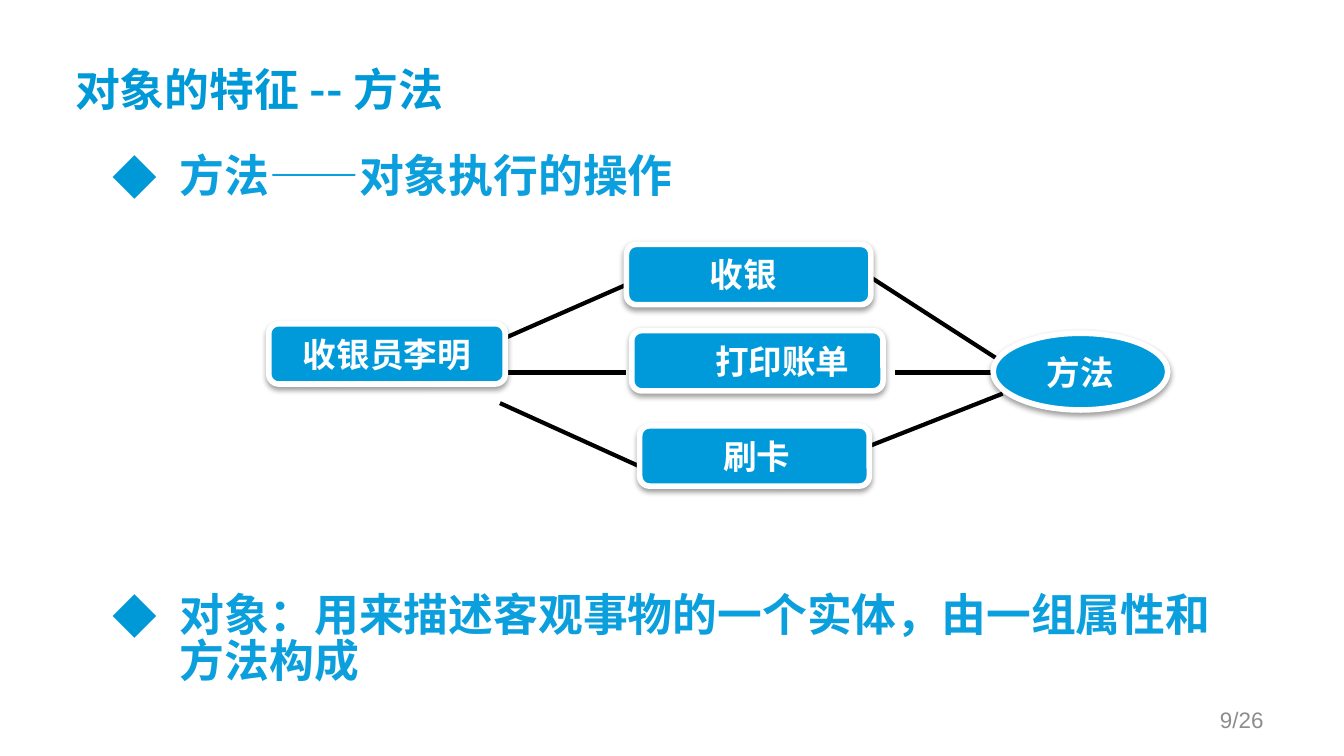
"""Build the slide on object methods: two bullets around a cashier diagram."""
from lxml.etree import SubElement
from pptx import Presentation
from pptx.dml.color import RGBColor
from pptx.enum.shapes import MSO_CONNECTOR as Connector, MSO_SHAPE as Shape
from pptx.enum.text import MSO_ANCHOR as Anchor, PP_ALIGN as Align
from pptx.oxml.ns import qn
from pptx.util import Cm, Pt

TITLE_BLUE = RGBColor(0x00, 0x99, 0xD8)
BULLET_BLUE = RGBColor(0x0B, 0x9F, 0xDD)
NODE_BLUE = RGBColor(0x00, 0x9A, 0xDA)
WHITE = RGBColor(0xFF, 0xFF, 0xFF)
BLACK = RGBColor(0x00, 0x00, 0x00)
GREY = RGBColor(0x8C, 0x8C, 0x8C)
CJK = "Noto Sans CJK SC"
LATIN = "Calibri"
INDENT = Cm(1.27)
BOX_HEIGHT = 1.14

TITLE = [("对象的特征", LATIN), ("--", CJK), ("方法", LATIN)]
PAGE = "9/26"
BULLETS = [
    ("方法——对象执行的操作", 2.82, 1.3),
    ("对象：用来描述客观事物的一个实体，由一组属性和方法构成", 11.13, 2.35),
]
OPERATIONS = [
    ("收银", 11.84, 4.62, 4.62),
    ("打印账单", 11.94, 6.25, 4.75),
    ("刷卡", 12.09, 8.05, 4.34),
]
CASHIER = ("收银员李明", 5.08, 6.12, 4.47, BOX_HEIGHT)
METHOD = ("方法", 18.77, 6.3, 3.3, 1.45)
LINKS = [
    (9.45, 6.43, 11.84, 5.38),
    (9.45, 7.04, 11.84, 7.04),
    (9.45, 7.62, 12.14, 8.84),
    (16.33, 5.16, 18.92, 6.83),
    (16.92, 7.04, 18.75, 7.04),
    (15.52, 8.79, 18.95, 7.44),
]


def add_run(paragraph, text, font, size, color, bold=True):
    run = paragraph.add_run()
    run.text = text
    run.font.name, run.font.size, run.font.bold = font, Pt(size), bold
    run.font.color.rgb = color
    SubElement(run.font._element, qn("a:ea"), typeface=CJK)


def add_text(slide, place, anchor=Anchor.MIDDLE):
    frame = slide.shapes.add_textbox(*map(Cm, place)).text_frame
    frame.word_wrap = True
    frame.vertical_anchor = anchor
    return frame.paragraphs[0]


def add_bullet(slide, text, top, height):
    paragraph = add_text(slide, (1.88, top, 21.56, height), Anchor.TOP)
    paragraph.line_spacing = 0.85
    props = paragraph._p.get_or_add_pPr()
    props.set("marL", str(INDENT))
    props.set("indent", str(-INDENT))
    SubElement(SubElement(props, qn("a:buClr")), qn("a:srgbClr"), val=str(TITLE_BLUE))
    SubElement(props, qn("a:buFont"), typeface=CJK)
    SubElement(props, qn("a:buChar"), char="◆")
    add_run(paragraph, text, CJK, 24, BULLET_BLUE)


def add_link(slide, *ends):
    link = slide.shapes.add_connector(Connector.STRAIGHT, *map(Cm, ends))
    link.line.color.rgb = BLACK
    link.line.width = Pt(2.25)
    SubElement(link._element.spPr, qn("a:effectLst"))


def add_node(slide, kind, text, *place, font=LATIN, indented=False):
    node = slide.shapes.add_shape(kind, *map(Cm, place))
    node.fill.solid()
    node.fill.fore_color.rgb = NODE_BLUE
    node.line.color.rgb = WHITE
    node.line.width = Pt(3)
    node.shadow.inherit = False
    effects = node._element.spPr.find(qn("a:effectLst"))
    shadow = SubElement(effects, qn("a:outerShdw"), blurRad=str(Pt(3.1)),
                        dist=str(Pt(1.6)), dir="5400000", rotWithShape="0")
    shade = SubElement(shadow, qn("a:srgbClr"), val=str(BLACK))
    SubElement(shade, qn("a:alpha"), val="38000")
    node.text_frame.vertical_anchor = Anchor.MIDDLE
    paragraph = node.text_frame.paragraphs[0]
    paragraph.alignment = Align.LEFT if indented else Align.CENTER
    if indented:
        paragraph.level = 1
        paragraph._p.get_or_add_pPr().set("marL", str(INDENT))
    add_run(paragraph, text, font, 18, WHITE)


def main():
    deck = Presentation()
    deck.slide_width, deck.slide_height = Cm(25.4), Cm(14.29)
    slide = deck.slides.add_slide(deck.slide_layouts[6])

    heading = add_text(slide, (1.17, 0.48, 22.86, 2.39))
    for text, font in TITLE:
        add_run(heading, text, font, 24, TITLE_BLUE)
    for bullet in BULLETS:
        add_bullet(slide, *bullet)

    for link in LINKS:
        add_link(slide, *link)
    for operation in OPERATIONS:
        add_node(slide, Shape.ROUNDED_RECTANGLE, *operation, BOX_HEIGHT,
                 font=CJK, indented=True)
    add_node(slide, Shape.ROUNDED_RECTANGLE, *CASHIER)
    add_node(slide, Shape.OVAL, *METHOD)

    page_number = add_text(slide, (18.21, 13.23, 5.92, 0.76))
    page_number.alignment = Align.RIGHT
    add_run(page_number, PAGE, "Arial", 12, GREY, bold=False)
    deck.save("out.pptx")


if __name__ == "__main__":
    main()
